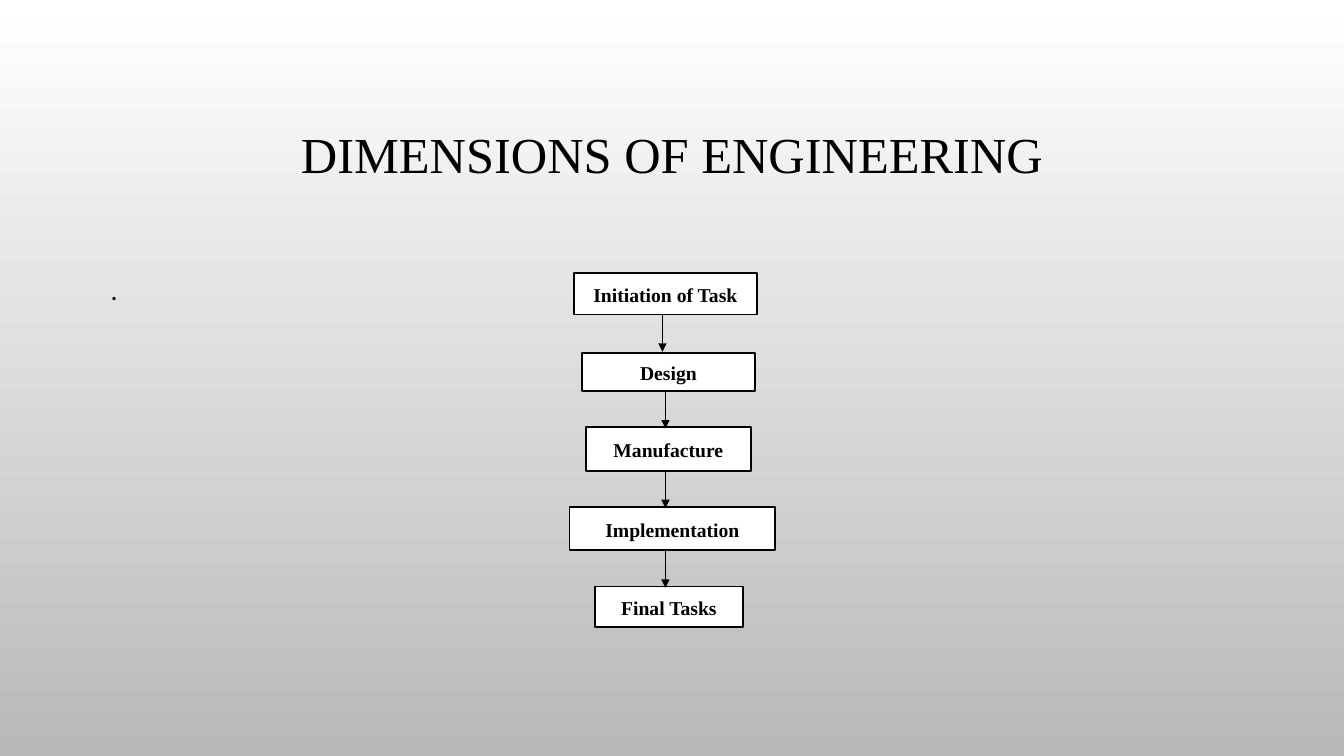
from pptx import Presentation
from pptx.dml.color import RGBColor
from pptx.enum.shapes import MSO_CONNECTOR, MSO_SHAPE
from pptx.enum.text import MSO_ANCHOR as Anchor, PP_ALIGN as Align
from pptx.oxml.ns import qn
from pptx.util import Inches, Pt
from lxml.etree import SubElement

BLACK = RGBColor(0x00, 0x00, 0x00)
WHITE = RGBColor(0xFF, 0xFF, 0xFF)
GREY = RGBColor(0xB9, 0xB9, 0xB9)
SERIF = "Times New Roman"

# Stage name, left, top, width, height
STAGES = [
    ("Initiation of Task", 5.69, 2.71, 1.82, 0.41),
    ("Design", 5.77, 3.5, 1.72, 0.38),
    ("Manufacture", 5.81, 4.24, 1.64, 0.43),
    ("Implementation", 5.65, 5.03, 2.04, 0.43),
    ("Final Tasks", 5.9, 5.82, 1.47, 0.4),
]
ARROW_XS = [6.57, 6.6, 6.6, 6.6]
ARROW_LENGTH = 0.37


def paint_background(slide):
    fill = slide.background.fill
    fill.gradient()
    fill.gradient_angle = 270
    for stop, position, color in zip(fill.gradient_stops, (0, 1), (WHITE, GREY)):
        stop.position = position
        stop.color.rgb = color


def write_text(frame, text, size, font, spacing, align, anchor, bold=False):
    frame.word_wrap = True
    frame.vertical_anchor = anchor
    line = frame.paragraphs[0]
    line.text = text
    line.alignment = align
    line.line_spacing = spacing
    line.font.name = font
    line.font.size = Pt(size)
    line.font.bold = bold
    line.font.color.rgb = BLACK
    return line


def add_text(slide, left, top, width, height, *text_style):
    box = slide.shapes.add_textbox(
        Inches(left), Inches(top), Inches(width), Inches(height))
    write_text(box.text_frame, *text_style)


def add_stage(slide, name, left, top, width, height):
    stage = slide.shapes.add_shape(
        MSO_SHAPE.RECTANGLE,
        Inches(left), Inches(top), Inches(width), Inches(height))
    stage.shadow.inherit = False
    stage.fill.solid()
    stage.fill.fore_color.rgb = WHITE
    stage.line.color.rgb = BLACK
    stage.line.width = Pt(1.25)
    label = write_text(stage.text_frame, name, 14, SERIF, 1.07,
                       Align.CENTER, Anchor.MIDDLE, bold=True)
    label.space_after = Pt(8)


def add_arrow(slide, x, top):
    arrow = slide.shapes.add_connector(
        MSO_CONNECTOR.STRAIGHT,
        Inches(x), Inches(top), Inches(x), Inches(top + ARROW_LENGTH))
    arrow.line.color.rgb = BLACK
    arrow.line.width = Pt(0.75)
    SubElement(arrow.line._get_or_add_ln(), qn("a:tailEnd"), type="triangle")
    SubElement(arrow._element.spPr, qn("a:effectLst"))


def main():
    deck = Presentation()
    deck.slide_width, deck.slide_height = Inches(13.33), Inches(7.5)
    slide = deck.slides.add_slide(deck.slide_layouts[6])
    paint_background(slide)

    # Title and body text
    add_text(slide, 1, 0.68, 11.33, 1.75, "DIMENSIONS OF ENGINEERING",
             36, SERIF, 0.9, Align.CENTER, Anchor.MIDDLE)
    add_text(slide, 1, 2.59, 11.33, 3.74, ".",
             20, "Calibri", 1.2, Align.LEFT, Anchor.TOP)

    # Flow of stages, each arrow starting at the foot of its stage
    for stage in STAGES:
        add_stage(slide, *stage)
    for x, (_, _, top, _, height) in zip(ARROW_XS, STAGES):
        add_arrow(slide, x, top + height)

    deck.save("out.pptx")


if __name__ == "__main__":
    main()
